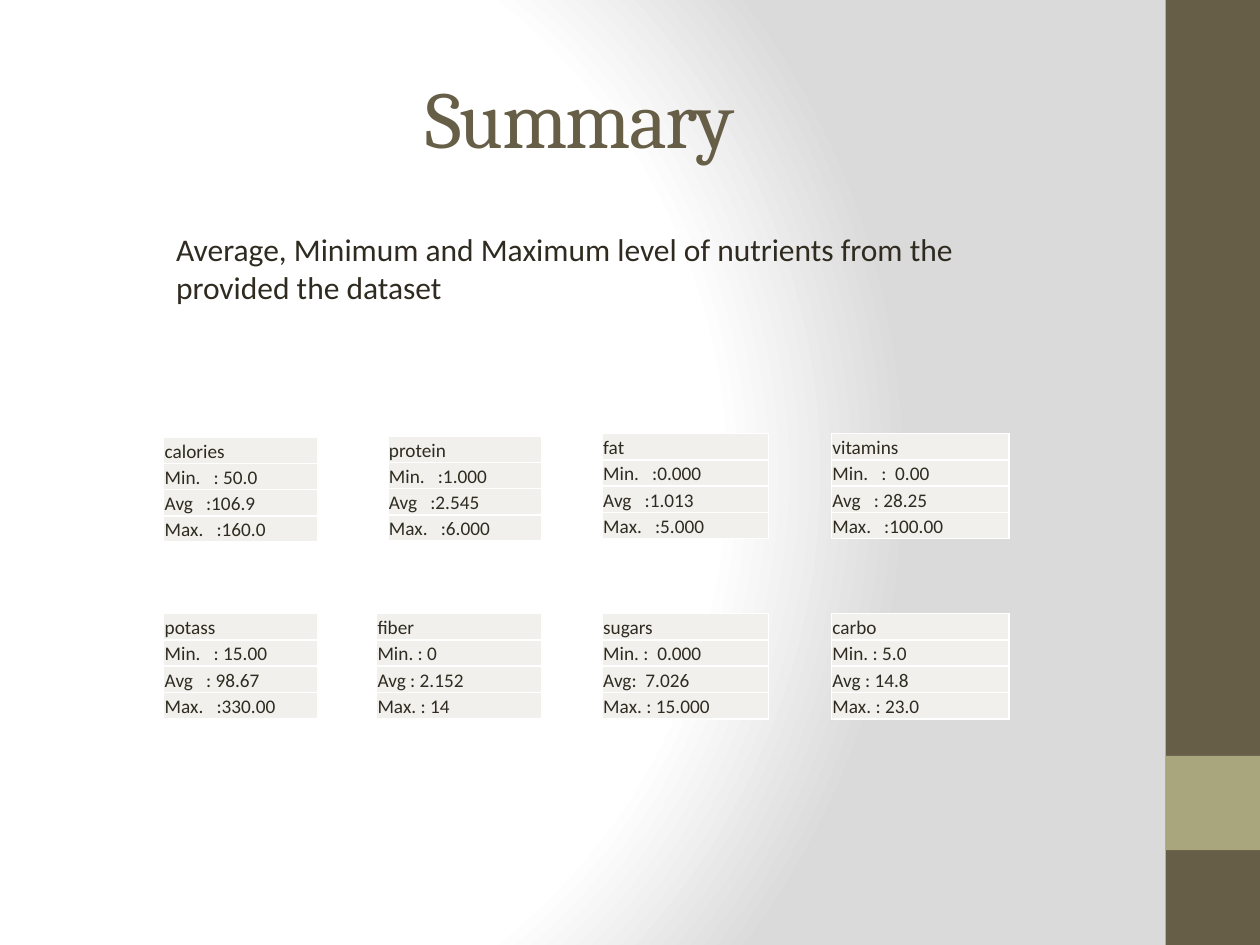
from lxml import etree
from pptx import Presentation
from pptx.dml.color import RGBColor
from pptx.enum.shapes import MSO_SHAPE
from pptx.enum.text import MSO_ANCHOR, PP_ALIGN
from pptx.oxml import parse_xml
from pptx.oxml.ns import qn
from pptx.util import Cm, Pt

RECTANGLE = MSO_SHAPE.RECTANGLE
MIDDLE, BOTTOM = MSO_ANCHOR.MIDDLE, MSO_ANCHOR.BOTTOM
CENTER, LEFT = PP_ALIGN.CENTER, PP_ALIGN.LEFT

BROWN = RGBColor(0x67, 0x5E, 0x47)
OLIVE = RGBColor(0xA9, 0xA5, 0x7C)
INK = RGBColor(0x2F, 0x2B, 0x20)
CELL = RGBColor(0xF1, 0xF0, 0xEC)
WHITE = RGBColor(0xFF, 0xFF, 0xFF)
GRAY = RGBColor(0xDA, 0xDA, 0xDA)

ROW_HEIGHT = 0.53
BOTTOM_ROW_TOP = 12.37
NUTRIENTS = [
    (3.3, 8.81, 3.1, ["calories", "Min.   : 50.0", "Avg   :106.9", "Max.   :160.0"]),
    (7.82, 8.79, 3.1, ["protein", "Min.   :1.000", "Avg   :2.545", "Max.   :6.000"]),
    (12.14, 8.74, 3.35, ["fat", "Min.   :0.000", "Avg   :1.013", "Max.   :5.000"]),
    (16.76, 8.74, 3.58, ["vitamins", "Min.   :  0.00", "Avg   : 28.25", "Max.   :100.00"]),
    (3.3, BOTTOM_ROW_TOP, 3.1, ["potass", "Min.   : 15.00", "Avg   : 98.67", "Max.   :330.00"]),
    (7.59, BOTTOM_ROW_TOP, 3.33, ["fiber", "Min. : 0", "Avg : 2.152", "Max. : 14"]),
    (12.14, BOTTOM_ROW_TOP, 3.35, ["sugars", "Min. :  0.000", "Avg:  7.026", "Max. : 15.000"]),
    (16.76, BOTTOM_ROW_TOP, 3.58, ["carbo", "Min. : 5.0", "Avg : 14.8", "Max. : 23.0"]),
]


class SlideBuilder:
    heading_font = "Cambria"
    body_font = "Calibri"

    def __init__(self, page):
        self.page = page

    def style(self, paragraph, size, font, color, align=LEFT):
        paragraph.alignment = align
        for span in paragraph.runs:
            span.font.size = Pt(size)
            span.font.name = font
            span.font.color.rgb = color

    def background(self, stops):
        marks = "".join(
            f'<a:gs pos="{position * 1000}"><a:srgbClr val="{color}"/></a:gs>'
            for position, color in stops
        )
        gradient = parse_xml(
            '<a:gradFill xmlns:a="http://schemas.openxmlformats.org/drawingml/2006/main"'
            f' rotWithShape="1"><a:gsLst>{marks}</a:gsLst><a:path path="circle">'
            '<a:fillToRect l="20000" t="50000" r="100000" b="50000"/>'
            "</a:path></a:gradFill>"
        )
        fill = self.page.background.fill
        fill.solid()
        properties = self.page.element.find(".//" + qn("p:bgPr"))
        properties.replace(properties.find(qn("a:solidFill")), gradient)

    def block(self, left, top, width, height, color):
        shape = self.page.shapes.add_shape(
            RECTANGLE, Cm(left), Cm(top), Cm(width), Cm(height)
        )
        shape.shadow.inherit = False
        shape.fill.solid()
        shape.fill.fore_color.rgb = color
        shape.line.fill.background()

    def title(self, text, left, top, width, height):
        box = self.page.shapes.title
        box.left, box.top = Cm(left), Cm(top)
        box.width, box.height = Cm(width), Cm(height)
        frame = box.text_frame
        frame.text = text
        frame.vertical_anchor = MIDDLE
        paragraph = frame.paragraphs[0]
        self.style(paragraph, 46, self.heading_font, BROWN, CENTER)
        paragraph.runs[0].font._element.set("spc", "-100")

    def text(self, text, left, top, width, height):
        box = self.page.shapes.add_textbox(Cm(left), Cm(top), Cm(width), Cm(height))
        box.text_frame.word_wrap = True
        box.text_frame.text = text
        self.style(box.text_frame.paragraphs[0], 18, self.body_font, INK)

    def borders(self, cell):
        properties = cell._tc.get_or_add_tcPr()
        for side in ("a:lnL", "a:lnR", "a:lnT", "a:lnB"):
            line = etree.SubElement(properties, qn(side), w=str(Pt(1)))
            solid = etree.SubElement(line, qn("a:solidFill"))
            etree.SubElement(solid, qn("a:srgbClr"), val=str(WHITE))

    def table(self, left, top, width, lines):
        frame = self.page.shapes.add_table(
            len(lines), 1, Cm(left), Cm(top), Cm(width), Cm(ROW_HEIGHT * len(lines))
        )
        table = frame.table
        table.first_row = False
        table.horz_banding = False
        for row, line in zip(table.rows, lines):
            row.height = Cm(ROW_HEIGHT)
            cell = row.cells[0]
            cell.text = line
            cell.vertical_anchor = BOTTOM
            cell.margin_left = cell.margin_right = cell.margin_top = Cm(0.02)
            cell.margin_bottom = 0
            self.borders(cell)
            cell.fill.solid()
            cell.fill.fore_color.rgb = CELL
            self.style(cell.text_frame.paragraphs[0], 11, self.body_font, INK)


def main():
    deck = Presentation()
    deck.slide_width, deck.slide_height = Cm(25.4), Cm(19.05)
    builder = SlideBuilder(deck.slides.add_slide(deck.slide_layouts[5]))
    builder.background([(0, WHITE), (75, WHITE), (100, GRAY)])
    builder.block(23.5, 0, 1.9, 19.05, BROWN)
    builder.block(23.5, 15.24, 1.9, 1.9, OLIVE)
    builder.title("Summary ", 1.27, 0.76, 21.16, 3.18)
    for left, top, width, lines in NUTRIENTS:
        builder.table(left, top, width, lines)
    builder.text(
        "Average, Minimum and Maximum level of nutrients from the provided the dataset",
        3.3, 4.52, 17.04, 1.8,
    )
    deck.save("out.pptx")


if __name__ == "__main__":
    main()
